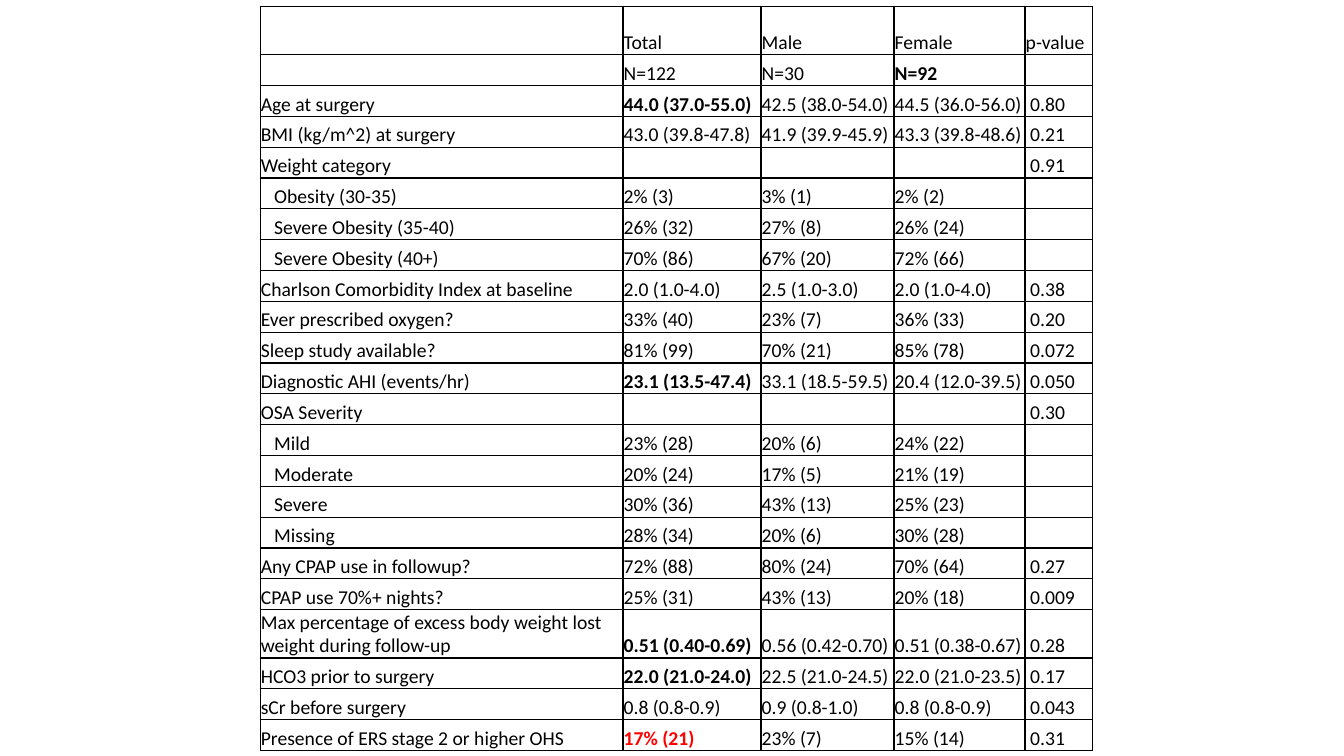
from dataclasses import dataclass

from lxml.etree import SubElement
from pptx import Presentation
from pptx.dml.color import RGBColor
from pptx.enum.text import MSO_ANCHOR
from pptx.oxml.ns import qn
from pptx.util import Pt


@dataclass(frozen=True)
class Theme:
    font: str = "Calibri"
    size: float = 14
    ink: str = "000000"
    alert: str = "FF0000"
    border: float = 1
    inset: float = 0.5
    category_indent: float = 9.5
    p_value_indent: float = 3.2


THEME = Theme()
LEFT, TOP = 185.8, 4.5
COLUMN_WIDTHS = [259.2, 98.6, 95, 93.6, 48.3]
ROW_HEIGHT, TALL_ROW_HEIGHT = 22.05, 34.5

# Characteristic, total, male, female, p-value
ROWS = [
    ("", "Total", "Male", "Female", "p-value"),
    ("", "N=122", "N=30", "N=92", ""),
    ("Age at surgery", "44.0 (37.0-55.0)", "42.5 (38.0-54.0)", "44.5 (36.0-56.0)", "0.80"),
    ("BMI (kg/m^2) at surgery", "43.0 (39.8-47.8)", "41.9 (39.9-45.9)", "43.3 (39.8-48.6)", "0.21"),
    ("Weight category", "", "", "", "0.91"),
    ("Obesity (30-35)", "2% (3)", "3% (1)", "2% (2)", ""),
    ("Severe Obesity (35-40)", "26% (32)", "27% (8)", "26% (24)", ""),
    ("Severe Obesity (40+)", "70% (86)", "67% (20)", "72% (66)", ""),
    ("Charlson Comorbidity Index at baseline", "2.0 (1.0-4.0)", "2.5 (1.0-3.0)", "2.0 (1.0-4.0)", "0.38"),
    ("Ever prescribed oxygen?", "33% (40)", "23% (7)", "36% (33)", "0.20"),
    ("Sleep study available?", "81% (99)", "70% (21)", "85% (78)", "0.072"),
    ("Diagnostic AHI (events/hr)", "23.1 (13.5-47.4)", "33.1 (18.5-59.5)", "20.4 (12.0-39.5)", "0.050"),
    ("OSA Severity", "", "", "", "0.30"),
    ("Mild", "23% (28)", "20% (6)", "24% (22)", ""),
    ("Moderate", "20% (24)", "17% (5)", "21% (19)", ""),
    ("Severe", "30% (36)", "43% (13)", "25% (23)", ""),
    ("Missing", "28% (34)", "20% (6)", "30% (28)", ""),
    ("Any CPAP use in followup?", "72% (88)", "80% (24)", "70% (64)", "0.27"),
    ("CPAP use 70%+ nights?", "25% (31)", "43% (13)", "20% (18)", "0.009"),
    ("Max percentage of excess body weight lost weight during follow-up",
     "0.51 (0.40-0.69)", "0.56 (0.42-0.70)", "0.51 (0.38-0.67)", "0.28"),
    ("HCO3 prior to surgery", "22.0 (21.0-24.0)", "22.5 (21.0-24.5)", "22.0 (21.0-23.5)", "0.17"),
    ("sCr before surgery", "0.8 (0.8-0.9)", "0.9 (0.8-1.0)", "0.8 (0.8-0.9)", "0.043"),
    ("Presence of ERS stage 2 or higher OHS", "17% (21)", "23% (7)", "15% (14)", "0.31"),
]
P_VALUE_COLUMN = len(COLUMN_WIDTHS) - 1
TALL_ROWS = {0, 19}
CATEGORY_ROWS = {5, 6, 7, 13, 14, 15, 16}
ALERT_CELL = (22, 1)
BOLD_CELLS = {(1, 3), (2, 1), (11, 1), (19, 1), (20, 1), ALERT_CELL}


def cell_indent(row, column):
    if column == 0 and row in CATEGORY_ROWS:
        return THEME.category_indent
    if column == P_VALUE_COLUMN and row > 0:
        return THEME.p_value_indent
    return 0


def add_borders(cell):
    properties = cell._tc.get_or_add_tcPr()
    for position, side in enumerate(("lnL", "lnR", "lnT", "lnB")):
        line = properties.makeelement(qn(f"a:{side}"), {"w": str(Pt(THEME.border))})
        properties.insert(position, line)
        fill = SubElement(line, qn("a:solidFill"))
        SubElement(fill, qn("a:srgbClr"), val=THEME.ink)


def fill_cell(cell, text, row, column):
    cell.fill.background()
    add_borders(cell)
    cell.vertical_anchor = MSO_ANCHOR.BOTTOM
    cell.margin_left = Pt(THEME.inset + cell_indent(row, column))
    cell.margin_right = cell.margin_top = Pt(THEME.inset)
    cell.margin_bottom = Pt(0)
    paragraph = cell.text_frame.paragraphs[0]
    if not text:
        # Keeps an empty cell from stretching its row
        SubElement(paragraph._p, qn("a:endParaRPr"), sz=str(int(THEME.size * 100)))
        return
    run = paragraph.add_run()
    run.text = text
    run.font.name = THEME.font
    run.font.size = Pt(THEME.size)
    run.font.bold = (row, column) in BOLD_CELLS
    color = THEME.alert if (row, column) == ALERT_CELL else THEME.ink
    run.font.color.rgb = RGBColor.from_string(color)


def add_patient_table(slide):
    heights = [TALL_ROW_HEIGHT if row in TALL_ROWS else ROW_HEIGHT for row in range(len(ROWS))]
    patients = slide.shapes.add_table(
        len(ROWS), len(COLUMN_WIDTHS), Pt(LEFT), Pt(TOP),
        Pt(sum(COLUMN_WIDTHS)), Pt(sum(heights))).table
    patients.first_row = patients.horz_banding = False
    for column, width in zip(patients.columns, COLUMN_WIDTHS):
        column.width = Pt(width)
    for row, (height, texts) in enumerate(zip(heights, ROWS)):
        patients.rows[row].height = Pt(height)
        for column, text in enumerate(texts):
            fill_cell(patients.cell(row, column), text, row, column)


def main():
    presentation = Presentation()
    presentation.slide_width, presentation.slide_height = Pt(960), Pt(540)
    # The slide has no title, so the blank layout fits
    slide = presentation.slides.add_slide(presentation.slide_layouts[6])
    add_patient_table(slide)
    presentation.save("out.pptx")


if __name__ == "__main__":
    main()
